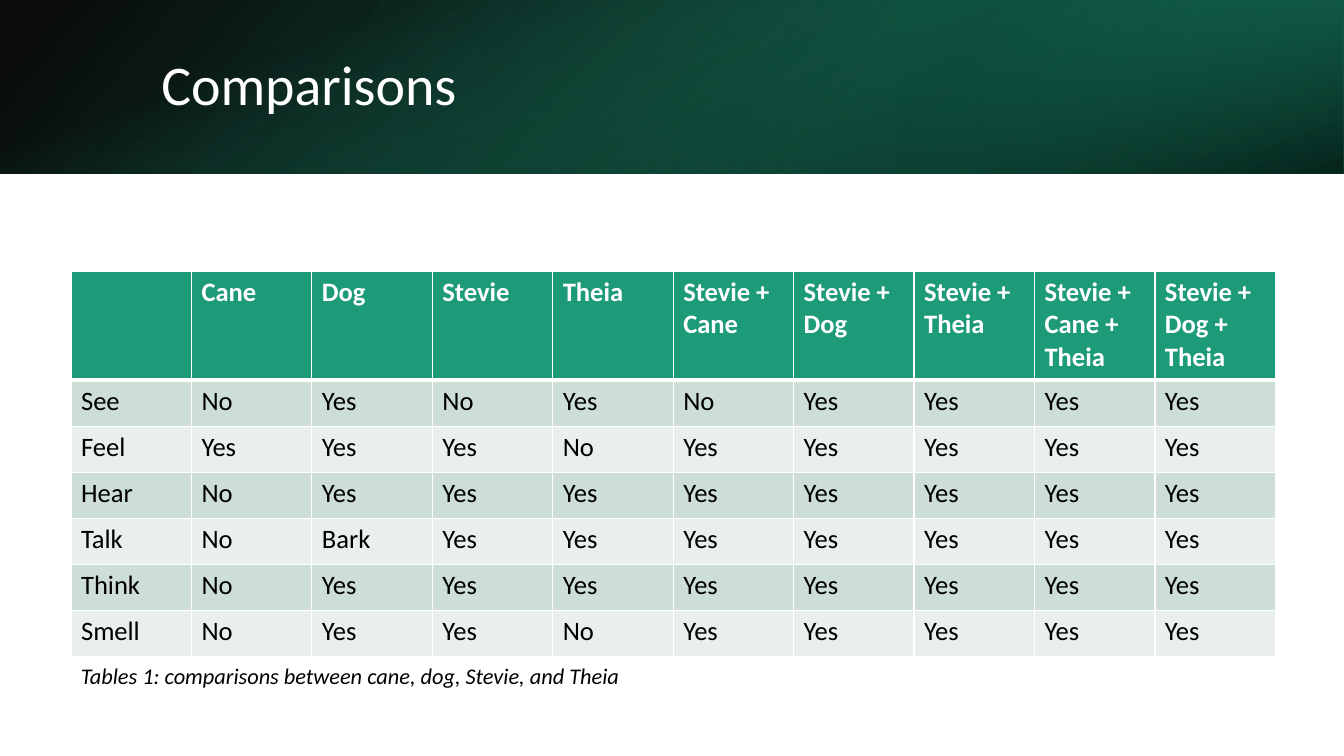
from lxml import etree
from pptx import Presentation
from pptx.dml.color import RGBColor
from pptx.enum.shapes import MSO_SHAPE
from pptx.enum.text import MSO_ANCHOR, PP_ALIGN
from pptx.oxml.ns import qn
from pptx.util import Cm, Pt

RECT = MSO_SHAPE.RECTANGLE
MIDDLE = MSO_ANCHOR.MIDDLE
LEFT = PP_ALIGN.LEFT

COLORS = {
    "white": "FFFFFF", "black": "000000", "green": "1D9A78",
    "mid_green": "16745A", "dark_green": "0E4D3C",
    "band_dark": "CDDED6", "band_light": "E8EFEC",
}
WIDTH, BANNER_H = 33.87, 4.37


def write(tf, text, size=19, color="black", bold=False, italic=False):
    p = tf.paragraphs[0]
    p.alignment = LEFT
    r = p.add_run()
    r.text = text
    r.font.name = "Calibri"
    r.font.size = Pt(size)
    r.font.bold = bold
    r.font.italic = italic
    r.font.color.rgb = RGBColor.from_string(COLORS[color])
    return p


def add_border(cell, side, width):
    ln = etree.SubElement(cell._tc.get_or_add_tcPr(), qn(f"a:ln{side}"), w=str(Pt(width)))
    fill = etree.SubElement(ln, qn("a:solidFill"))
    etree.SubElement(fill, qn("a:srgbClr"), val=COLORS["white"])


prs = Presentation()
prs.slide_width, prs.slide_height = Cm(WIDTH), Cm(19.05)
s = prs.slides.add_slide(prs.slide_layouts[5])

# Banner layers: box, rotation, flipped, clockwise angle, (position, color, opacity) stops
side = (WIDTH - BANNER_H) / 2
layers = [
    ((0, 0, WIDTH, BANNER_H), 0, True, 140,
     [(0, "black", 96), (100, "mid_green", 100)]),
    ((WIDTH * 2 / 3, 0, WIDTH / 3, BANNER_H), 180, True, 320,
     [(19, "dark_green", 68), (100, "green", 79)]),
    ((side, -side, BANNER_H, WIDTH), 90, False, 340,
     [(23, "green", 0), (99, "black", 74)]),
]
for box, rotation, flipped, angle, stops in layers:
    sp = s.shapes.add_shape(RECT, *(Cm(v) for v in box))
    sp.shadow.inherit = False
    sp.line.fill.background()
    sp.rotation = rotation
    if flipped:
        sp._element.spPr.find(qn("a:xfrm")).set("flipH", "1")
    sp.fill.gradient()
    sp.fill.gradient_angle = 360 - angle
    for stop, (position, color, _) in zip(sp.fill.gradient_stops, stops):
        stop.position = position / 100
        stop.color.rgb = RGBColor.from_string(COLORS[color])
    for clr, (_, _, opacity) in zip(sp._element.spPr.iter(qn("a:srgbClr")), stops):
        etree.SubElement(clr, qn("a:alpha"), val=str(opacity * 1000))

title = s.shapes.title
title.left, title.top, title.width, title.height = Cm(3.81), Cm(0.97), Cm(27.89), Cm(2.44)
title.text_frame.vertical_anchor = MIDDLE
write(title.text_frame, "Comparisons", size=40, color="white").line_spacing = 0.9
s.shapes._spTree.append(title._element)  # bring in front of the banner

rows = [
    ["", "Cane", "Dog", "Stevie", "Theia", "Stevie + Cane", "Stevie + Dog",
     "Stevie + Theia", "Stevie + Cane + Theia", "Stevie + Dog + Theia"],
    ["See", "No", "Yes", "No", "Yes", "No"] + ["Yes"] * 4,
    ["Feel", "Yes", "Yes", "Yes", "No"] + ["Yes"] * 5,
    ["Hear", "No"] + ["Yes"] * 8,
    ["Talk", "No", "Bark"] + ["Yes"] * 7,
    ["Think", "No"] + ["Yes"] * 8,
    ["Smell", "No", "Yes", "Yes", "No"] + ["Yes"] * 5,
]
HEADER_H, ROW_H, TABLE_W = 2.74, 1.16, 30.35
table = s.shapes.add_table(len(rows), len(rows[0]), Cm(1.79), Cm(6.84), Cm(TABLE_W),
                           Cm(HEADER_H + ROW_H * (len(rows) - 1))).table
for col in table.columns:
    col.width = Cm(TABLE_W / len(rows[0]))
for i, values in enumerate(rows):
    header = i == 0
    table.rows[i].height = Cm(HEADER_H if header else ROW_H)
    band = "green" if header else "band_dark" if i % 2 else "band_light"
    for j, value in enumerate(values):
        cell = table.cell(i, j)
        for edge, width in (("L", 1), ("R", 1), ("T", 3 if i == 1 else 1), ("B", 3 if header else 1)):
            add_border(cell, edge, width)
        cell.fill.solid()
        cell.fill.fore_color.rgb = RGBColor.from_string(COLORS[band])
        if value:
            write(cell.text_frame, value, color="white" if header else "black", bold=header)

caption = s.shapes.add_textbox(Cm(1.79), Cm(16.56), Cm(26.97), Cm(0.94))
caption.text_frame.word_wrap = True
write(caption.text_frame, "Tables 1: comparisons between cane, dog, Stevie, and Theia",
      size=16, italic=True)

prs.save("out.pptx")
